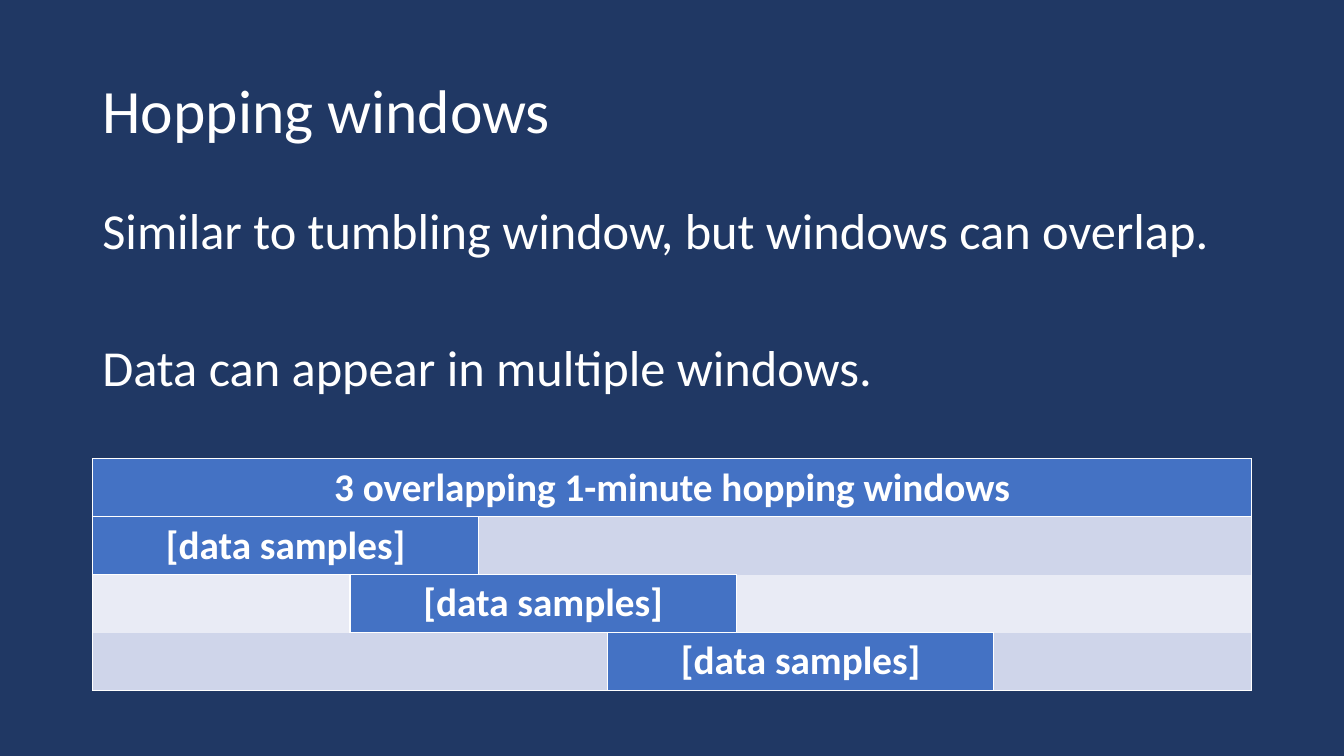
"""Build the slide on hopping windows with its overlapping window table."""
from lxml import etree
from pptx import Presentation
from pptx.dml.color import RGBColor
from pptx.enum import text
from pptx.oxml import ns
from pptx.util import Cm, Pt

COLOURS = {"navy": "203864", "white": "FFFFFF", "window": "4472C4",
           "odd": "CFD5EA", "even": "E9EBF5"}
LEFT, WIDTH = Cm(2.33), Cm(29.21)
ROWS, COLS = 4, 9
ROW_HEIGHT = 1.46
SPANS = [(0, 9), (0, 3), (2, 3), (4, 3)]
LABELS = ["3 overlapping 1-minute hopping windows"] + ["[data samples]"] * 3


def style(para, size, bold=False):
    para.font.name = "Calibri"
    para.font.size = Pt(size)
    para.font.bold = bold
    para.font.color.rgb = RGBColor.from_string(COLOURS["white"])


def in_window(row, col):
    start, length = SPANS[row]
    return start <= col < start + length


deck = Presentation()
deck.slide_width, deck.slide_height = Cm(33.87), Cm(19.05)
page = deck.slides.add_slide(deck.slide_layouts[5])
page.background.fill.solid()
page.background.fill.fore_color.rgb = RGBColor.from_string(COLOURS["navy"])

title = page.shapes.title
title.left, title.top, title.width, title.height = LEFT, Cm(1.01), WIDTH, Cm(3.68)
title.text_frame.text = "Hopping windows"
title.text_frame.vertical_anchor = text.MSO_ANCHOR.MIDDLE
heading = title.text_frame.paragraphs[0]
heading.alignment = text.PP_ALIGN.LEFT
heading.line_spacing = 0.9
style(heading, 44)

body = page.shapes.add_textbox(LEFT, Cm(5.07), WIDTH, Cm(6.2)).text_frame
body.word_wrap = True
body.text = ("Similar to tumbling window, but windows can overlap.\n"
             "Data can appear in multiple windows.")
for para in body.paragraphs:
    para.line_spacing = 0.9
    style(para, 36)
body.paragraphs[1].space_before = Pt(59)

table = page.shapes.add_table(ROWS, COLS, LEFT, Cm(11.56), WIDTH,
                              Cm(ROW_HEIGHT * ROWS)).table
table.horz_banding = False
table.first_row = False

for row in range(ROWS):
    for col in range(COLS):
        cell = table.cell(row, col)
        props = cell._tc.get_or_add_tcPr()
        neighbours = {"lnL": (row, col - 1), "lnR": (row, col + 1),
                      "lnT": (row - 1, col), "lnB": (row + 1, col)}
        for side, (near_row, near_col) in neighbours.items():
            line = etree.SubElement(props, ns.qn(f"a:{side}"), w=str(Pt(1)))
            inside = 0 <= near_row < ROWS and 0 <= near_col < COLS
            if not inside or in_window(row, col) or in_window(near_row, near_col):
                paint = etree.SubElement(line, ns.qn("a:solidFill"))
                etree.SubElement(paint, ns.qn("a:srgbClr"), val=COLOURS["white"])
            else:
                etree.SubElement(line, ns.qn("a:noFill"))
        band = "odd" if row % 2 else "even"
        cell.fill.solid()
        cell.fill.fore_color.rgb = RGBColor.from_string(
            COLOURS["window" if in_window(row, col) else band])

for row, ((start, length), label) in enumerate(zip(SPANS, LABELS)):
    table.rows[row].height = Cm(ROW_HEIGHT)
    cell = table.cell(row, start)
    cell.merge(table.cell(row, start + length - 1))
    cell.text = label
    para = cell.text_frame.paragraphs[0]
    para.alignment = text.PP_ALIGN.CENTER
    style(para, 28, bold=True)

deck.save("out.pptx")
